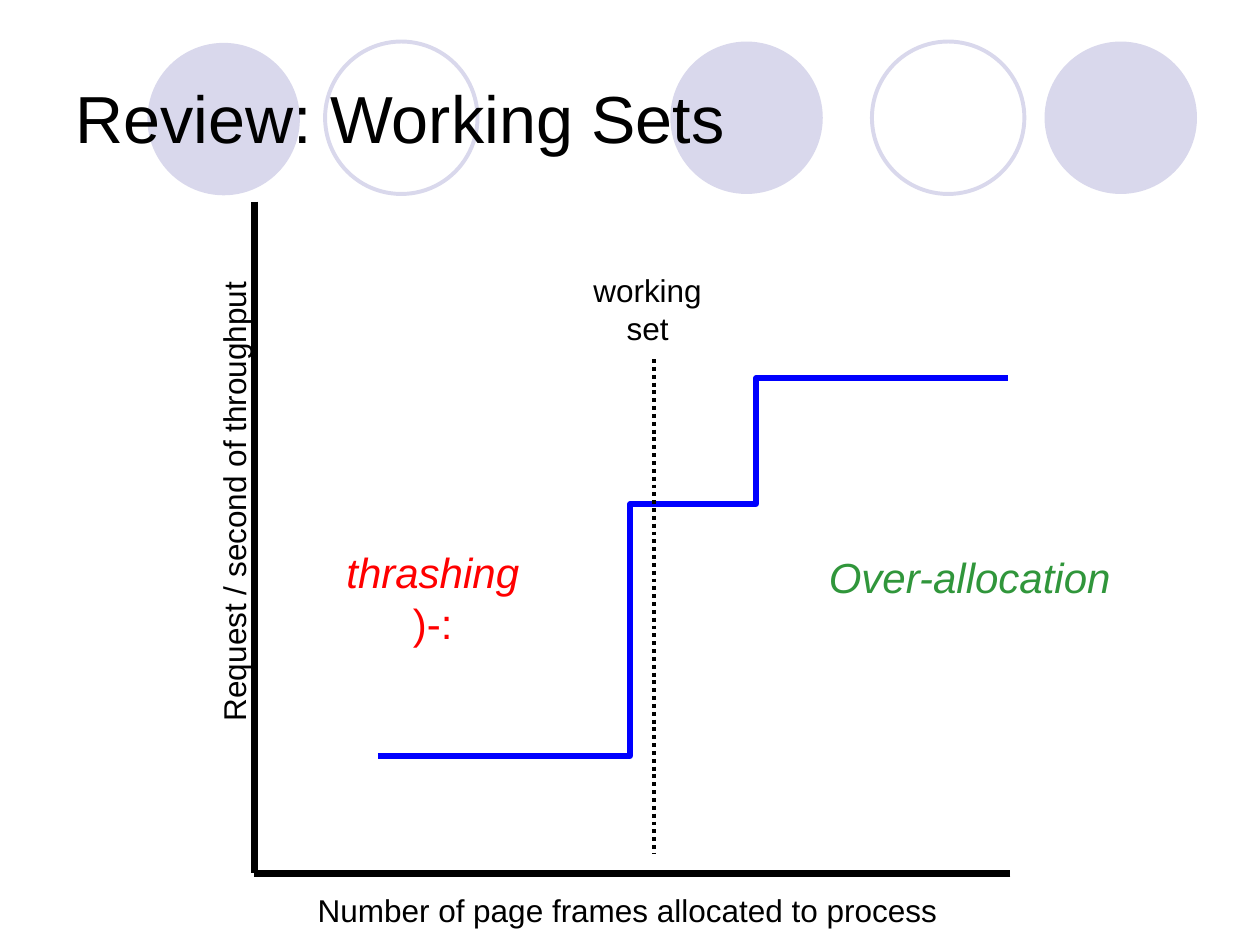
"""Build the working sets review slide: throughput against allocated page frames."""
from lxml import etree
from pptx import Presentation
from pptx.dml.color import RGBColor
from pptx.enum import dml, shapes, text
from pptx.oxml.ns import qn
from pptx.util import Inches, Pt

THEME = {
    "font": "Arial",
    "ink": "000000", "circle": "D9D8EC", "curve": "0000FF",
    "bad": "FF0000", "spare": "30963B",
    "title": 38, "label": 18, "zone": 24,
    "ring_w": 2.25, "axis_w": 4, "curve_w": 3, "marker_w": 2.25,
}

CIRCLE_SIZE = 1.21
CIRCLES = [
    (5.32, 0.33, True), (8.29, 0.33, True), (1.17, 0.34, True),
    (6.92, 0.33, False), (2.58, 0.33, False),
]

ORIGIN, Y_TOP, X_END = (2.02, 6.93), (2.02, 1.6), (8.02, 6.93)
MARKER = ((5.19, 2.85), (5.19, 6.77))

CURVE_START = (2.69, 6.43)
CURVE = [
    ((3.25, 6.44), (3.8, 6.45), (4.19, 6.27)),
    ((4.58, 6.08), (4.79, 5.78), (5.02, 5.35)),
    ((5.26, 4.92), (5.4, 4.08), (5.61, 3.68)),
    ((5.82, 3.28), (5.93, 3.11), (6.27, 2.93)),
    ((6.62, 2.75), (7.16, 2.68), (7.69, 2.6)),
]
STEPS = 16

TITLE = dict(lines=[("Review: Working Sets", False)], box=(0.5, 0.3, 9, 1.25),
             size="title", color="ink", centred=False, middle=True)
AXIS_LABELS = [
    dict(lines=[("Number of page frames allocated to process", False)],
         box=(2.02, 7.02, 5.92, 0.4), size="label", color="ink"),
    dict(lines=[("Request / second of throughput", False)],
         box=(-1.48, 3.78, 6.67, 0.4), size="label", color="ink", rotation=270),
]
ZONE_LABELS = [
    dict(lines=[("working", False), ("set", False)],
         box=(4.61, 2.1, 1.06, 0.7), size="label", color="ink", wrap=False),
    dict(lines=[("thrashing", True), (")-:", False)],
         box=(2.65, 4.29, 1.57, 0.9), size="zone", color="bad", wrap=False),
    dict(lines=[("Over-allocation", True)], box=(6.48, 4.33, 2.44, 0.5),
         size="zone", color="spare", centred=False, wrap=False),
]


def rgb(name):
    return RGBColor.from_string(THEME[name])


def style_line(line, color, width):
    line.color.rgb = rgb(color)
    line.width = Pt(THEME[width])


def add_circle(s, left, top, filled):
    sp = s.shapes.add_shape(shapes.MSO_SHAPE.OVAL, Inches(left), Inches(top),
                            Inches(CIRCLE_SIZE), Inches(CIRCLE_SIZE))
    sp.shadow.inherit = False
    if filled:
        sp.fill.solid()
        sp.fill.fore_color.rgb = rgb("circle")
        sp.line.fill.background()
    else:
        sp.fill.background()
        style_line(sp.line, "circle", "ring_w")


def add_line(s, start, end, width):
    cx = s.shapes.add_connector(shapes.MSO_CONNECTOR.STRAIGHT,
                                *(Inches(v) for v in start + end))
    style_line(cx.line, "ink", width)
    etree.SubElement(cx._element.spPr, qn("a:effectLst"))
    return cx


def add_label(s, lines, box, size, color, centred=True, middle=False,
              wrap=True, rotation=0):
    sp = s.shapes.add_textbox(*(Inches(v) for v in box))
    sp.rotation = rotation
    tf = sp.text_frame
    tf.word_wrap = wrap
    tf.vertical_anchor = text.MSO_ANCHOR.MIDDLE if middle else text.MSO_ANCHOR.TOP
    for i, (words, italic) in enumerate(lines):
        p = tf.add_paragraph() if i else tf.paragraphs[0]
        p.text = words
        p.alignment = text.PP_ALIGN.CENTER if centred else text.PP_ALIGN.LEFT
        p.font.name = THEME["font"]
        p.font.size = Pt(THEME[size])
        p.font.color.rgb = rgb(color)
        p.font.italic = italic


def bezier(a, b, c, d, t):
    n = 1 - t
    return tuple(n**3 * w + 3 * n * n * t * x + 3 * n * t * t * y + t**3 * z
                 for w, x, y, z in zip(a, b, c, d))


def add_curve(s):
    points, start = [], CURVE_START
    for b, c, d in CURVE:
        points += [bezier(start, b, c, d, k / STEPS) for k in range(1, STEPS + 1)]
        start = d
    builder = s.shapes.build_freeform(*CURVE_START, scale=Inches(1))
    builder.add_line_segments(points, close=False)
    sp = builder.convert_to_shape()
    sp.shadow.inherit = False
    sp.fill.background()
    style_line(sp.line, "curve", "curve_w")


def main():
    prs = Presentation()
    prs.slide_width, prs.slide_height = Inches(10), Inches(7.5)
    s = prs.slides.add_slide(prs.slide_layouts[6])
    for circle in CIRCLES:
        add_circle(s, *circle)
    add_label(s, **TITLE)
    add_line(s, Y_TOP, ORIGIN, "axis_w")
    add_line(s, X_END, ORIGIN, "axis_w")
    for label in AXIS_LABELS:
        add_label(s, **label)
    add_curve(s)
    marker = add_line(s, *MARKER, "marker_w")
    marker.line.dash_style = dml.MSO_LINE.ROUND_DOT
    for label in ZONE_LABELS:
        add_label(s, **label)
    prs.save("out.pptx")


if __name__ == "__main__":
    main()
